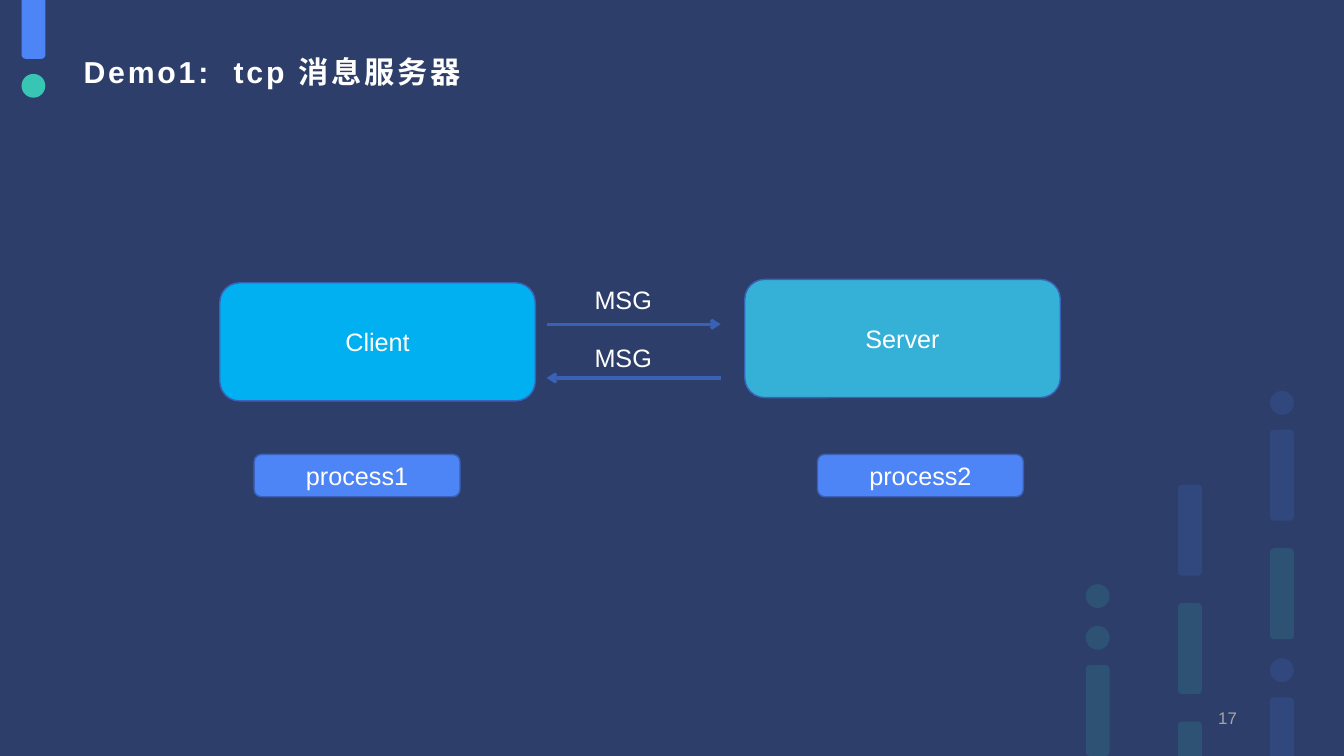
from lxml import etree
from pptx import Presentation
from pptx import util as u
from pptx.dml.color import RGBColor
from pptx.enum import shapes, text
from pptx.oxml.ns import qn

Pt = u.Pt
COLORS = {
    "background": "2D3E6A",
    "blue": "4D84F6",
    "green": "39C5B3",
    "client": "00B0F0",
    "server": "35B1D7",
    "outline": "3962B6",
    "white": "FFFFFF",
    "gray": "A6A6A6",
}
KINDS = {
    "bar": shapes.MSO_SHAPE.ROUNDED_RECTANGLE,
    "dot": shapes.MSO_SHAPE.OVAL,
    "stub": shapes.MSO_SHAPE.ROUND_2_SAME_RECTANGLE,
}

presentation = Presentation()
presentation.slide_width, presentation.slide_height = Pt(960), Pt(540)
slide = presentation.slides.add_slide(presentation.slide_layouts[6])
slide.background.fill.solid()
slide.background.fill.fore_color.rgb = RGBColor.from_string(COLORS["background"])


def add_block(kind, left, top, width, height, color, alpha=None, outline=None, rotation=0):
    shape = slide.shapes.add_shape(KINDS[kind], Pt(left), Pt(top), Pt(width), Pt(height))
    shape.shadow.inherit = False
    shape.rotation = rotation
    shape.fill.solid()
    shape.fill.fore_color.rgb = RGBColor.from_string(COLORS[color])
    if alpha:
        color_element = shape.fill._xPr.find(qn("a:solidFill"))[0]
        etree.SubElement(color_element, qn("a:alpha"), val=str(alpha * 1000))
    if outline:
        shape.line.color.rgb = RGBColor.from_string(COLORS[outline])
        shape.line.width = Pt(1)
    else:
        shape.line.fill.background()
    return shape


def write(words, box=None, shape=None, size=18, color="white", bold=False, spacing=0,
          align="LEFT", anchor="TOP"):
    if shape is None:
        shape = slide.shapes.add_textbox(*map(Pt, box))
    frame = shape.text_frame
    frame.word_wrap = True
    frame.vertical_anchor = text.MSO_ANCHOR[anchor]
    paragraph = frame.paragraphs[0]
    paragraph.alignment = text.PP_ALIGN[align]
    run = paragraph.add_run()
    run.text = words
    run.font.name = "Arial"
    run.font.size = Pt(size)
    run.font.bold = bold
    run.font.color.rgb = RGBColor.from_string(COLORS[color])
    if spacing:
        run.font._element.set("spc", str(spacing * 100))


decoration_columns = [
    (907.2, [("bar", 306.9, 65, "blue"), ("dot", 279.3, 17, "blue"),
             ("bar", 391.6, 65, "green"), ("stub", 498.2, 41.8, "blue"),
             ("dot", 470.2, 17, "blue")]),
    (841.5, [("bar", 346.1, 65, "blue"), ("bar", 430.7, 65, "green"),
             ("stub", 515.5, 24.5, "green")]),
    (775.6, [("bar", 475, 65, "green"), ("dot", 447.1, 17, "green"),
             ("dot", 417.3, 17, "green")]),
]
for left, blocks in decoration_columns:
    for kind, top, height, color in blocks:
        add_block(kind, left, top, 17, height, color, alpha=15)

add_block("stub", 15.4, 0, 17, 42, "blue", rotation=180)
add_block("dot", 15.4, 52.8, 17, 17, "green")
write("Demo1:  tcp 消息服务器", box=(52.6, 34.6, 854.6, 34.6), size=21.6, bold=True, spacing=2)

for words, left, top, width, height, color in [
    ("Server", 532, 199.6, 225.4, 84.4, "server"),
    ("Client", 157, 202, 225.4, 84.4, "client"),
    ("process1", 181.6, 324.6, 147, 30.2, "blue"),
    ("process2", 584, 324.6, 147, 30.2, "blue"),
]:
    block = add_block("bar", left, top, width, height, color, outline="outline")
    write(words, shape=block, align="CENTER", anchor="MIDDLE")

for arrow_top, arrow_end, label_top in [(231.6, "a:tailEnd", 199.6), (270, "a:headEnd", 241.2)]:
    arrow = slide.shapes.add_connector(
        shapes.MSO_CONNECTOR.STRAIGHT, Pt(390.4), Pt(arrow_top), Pt(514.8), Pt(arrow_top))
    arrow.line.color.rgb = RGBColor.from_string(COLORS["outline"])
    arrow.line.width = Pt(2.25)
    etree.SubElement(arrow.line._get_or_add_ln(), qn(arrow_end), type="arrow")
    etree.SubElement(arrow._element.spPr, qn("a:effectLst"))
    write("MSG", box=(417.6, label_top, 72, 29))

write("17", box=(678.2, 499.8, 212.4, 25.2), size=12, color="gray", align="RIGHT", anchor="MIDDLE")

presentation.save("out.pptx")
